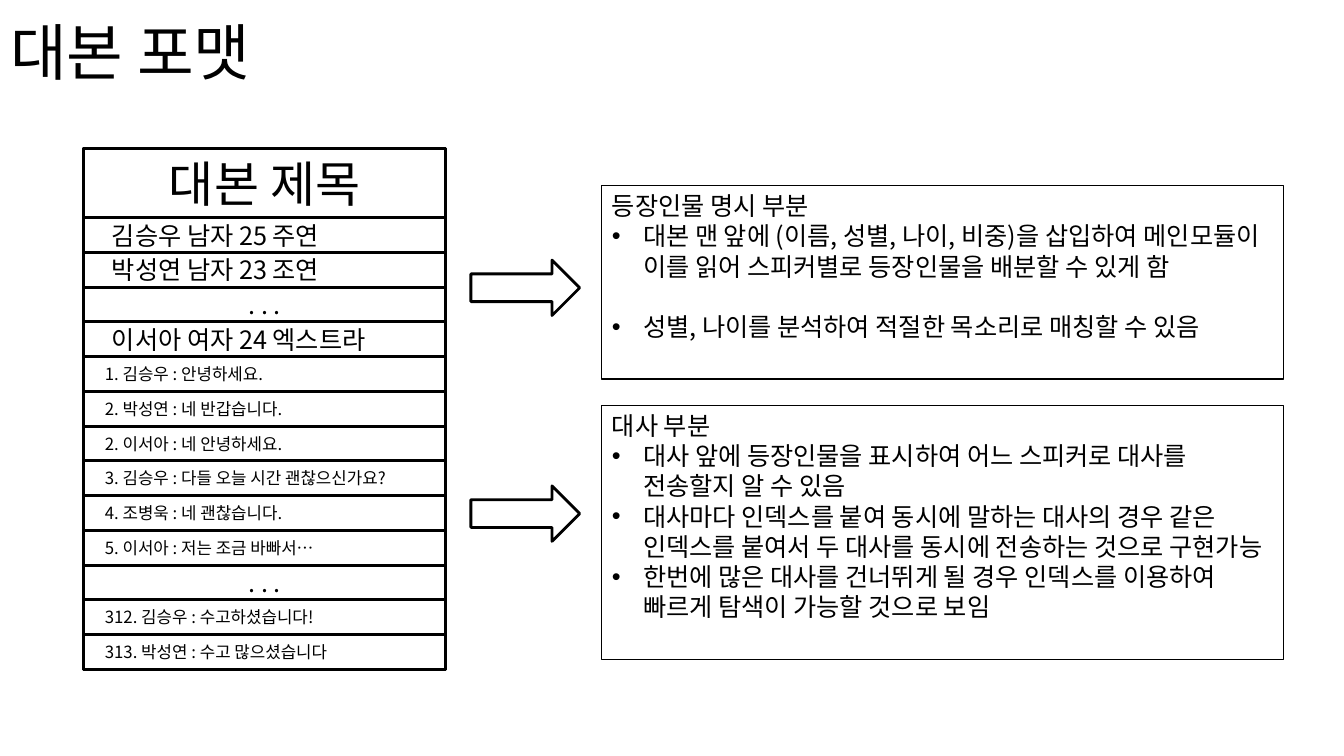
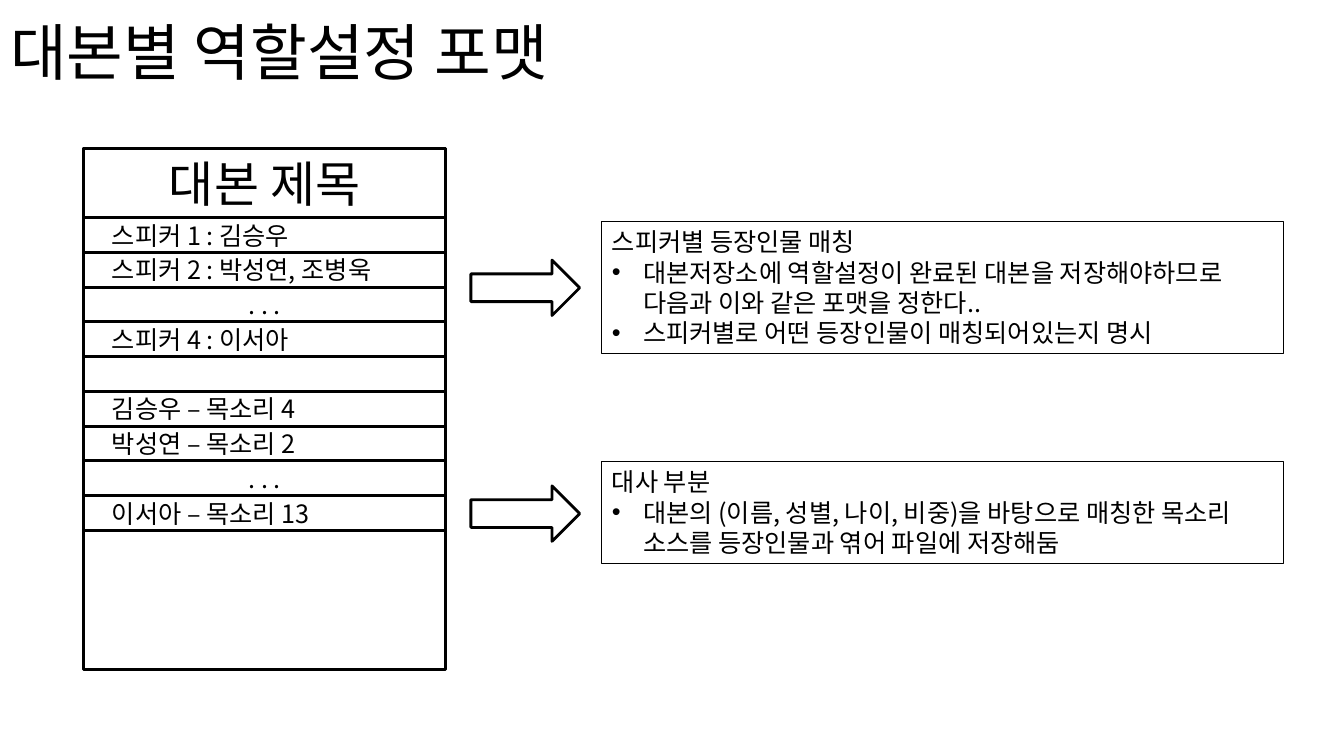
from lxml import etree
from pptx import Presentation
from pptx.dml.color import RGBColor
from pptx.enum.shapes import MSO_SHAPE
from pptx.enum.text import MSO_ANCHOR, MSO_AUTO_SIZE, PP_ALIGN
from pptx.oxml.ns import qn
from pptx.util import Inches, Pt

# Shared style
BLACK = RGBColor(0, 0, 0)
FONT = "Noto Sans CJK KR"
RECTANGLE, RIGHT_ARROW = MSO_SHAPE.RECTANGLE, MSO_SHAPE.RIGHT_ARROW
LEFT, CENTER = PP_ALIGN.LEFT, PP_ALIGN.CENTER
TOP, MIDDLE = MSO_ANCHOR.TOP, MSO_ANCHOR.MIDDLE
FIXED_SIZE = MSO_AUTO_SIZE.NONE
TITLE_ONLY = 5
ROW_SIZE, DIALOGUE_SIZE = 18, 12
LINE_HEIGHT = 21.6

# Script sheet geometry, in inches
SHEET_LEFT, SHEET_TOP, SHEET_WIDTH, SHEET_HEIGHT = 0.83, 1.47, 3.59, 5.17
HEADER_HEIGHT = 0.69
ROW_COUNT = 13
ROW_HEIGHT = (SHEET_HEIGHT - HEADER_HEIGHT) / ROW_COUNT
ROW_INSETS = {ROW_SIZE: 0.28, DIALOGUE_SIZE: 0.21}
ARROW_TOPS = (2.58, 4.82)

# Content: rows are (text, size); a note is (top, height, heading, bullets, bullet gap)
DOTS = ". . ."
SCRIPT_ROWS = [
    ("김승우 남자 25 주연", ROW_SIZE),
    ("박성연 남자 23 조연", ROW_SIZE),
    (DOTS, ROW_SIZE),
    ("이서아 여자 24 엑스트라", ROW_SIZE),
    ("1. 김승우 : 안녕하세요.", DIALOGUE_SIZE),
    ("2. 박성연 : 네 반갑습니다.", DIALOGUE_SIZE),
    ("2. 이서아 : 네 안녕하세요.", DIALOGUE_SIZE),
    ("3. 김승우 : 다들 오늘 시간 괜찮으신가요?", DIALOGUE_SIZE),
    ("4. 조병욱 : 네 괜찮습니다.", DIALOGUE_SIZE),
    ("5. 이서아 : 저는 조금 바빠서…", DIALOGUE_SIZE),
    (DOTS, ROW_SIZE),
    ("312. 김승우 : 수고하셨습니다!", DIALOGUE_SIZE),
    ("313. 박성연 : 수고 많으셨습니다", DIALOGUE_SIZE),
]
SCRIPT_NOTES = [
    (1.84, 1.92, "등장인물 명시 부분", [
        "대본 맨 앞에 (이름, 성별, 나이, 비중)을 삽입하여 메인모듈이 이를 읽어 "
        "스피커별로 등장인물을 배분할 수 있게 함",
        "성별, 나이를 분석하여 적절한 목소리로 매칭할 수 있음",
    ], LINE_HEIGHT),
    (4.02, 2.52, "대사 부분", [
        "대사 앞에 등장인물을 표시하여 어느 스피커로 대사를 전송할지 알 수 있음",
        "대사마다 인덱스를 붙여 동시에 말하는 대사의 경우 같은 인덱스를 붙여서 "
        "두 대사를 동시에 전송하는 것으로 구현가능",
        "한번에 많은 대사를 건너뛰게 될 경우 인덱스를 이용하여 빠르게 탐색이 "
        "가능할 것으로 보임",
    ], 0),
]
ROLE_ROWS = [(text, ROW_SIZE) for text in (
    "스피커 1 : 김승우", "스피커 2 : 박성연, 조병욱", DOTS, "스피커 4 : 이서아", "",
    "김승우 – 목소리 4", "박성연 – 목소리 2", DOTS, "이서아 – 목소리 13",
)]
ROLE_NOTES = [
    (2.2, 1.31, "스피커별 등장인물 매칭", [
        "대본저장소에 역할설정이 완료된 대본을 저장해야하므로 다음과 이와 같은 "
        "포맷을 정한다..",
        "스피커별로 어떤 등장인물이 매칭되어있는지 명시",
    ], 0),
    (4.58, 1.01, "대사 부분", [
        "대본의 (이름, 성별, 나이, 비중)을 바탕으로 매칭한 목소리 소스를 "
        "등장인물과 엮어 파일에 저장해둠",
    ], 0),
]


def format_paragraph(paragraph, size, align=LEFT):
    paragraph.alignment = align
    for run in paragraph.runs:
        run.font.size = Pt(size)
        run.font.name = FONT
        run.font.color.rgb = BLACK
        east_asian = etree.SubElement(run.font._element, qn("a:ea"))
        east_asian.set("typeface", FONT)


def add_bullet(paragraph):
    properties = paragraph._p.get_or_add_pPr()
    properties.set("marL", str(Inches(0.31)))
    properties.set("indent", str(-Inches(0.31)))
    etree.SubElement(properties, qn("a:buFont")).set("typeface", "Arial")
    etree.SubElement(properties, qn("a:buChar")).set("char", "•")


def add_outline(slide, kind, left, top, width, height, weight=2):
    outline = slide.shapes.add_shape(
        kind, Inches(left), Inches(top), Inches(width), Inches(height))
    outline.shadow.inherit = False
    outline.fill.background()
    outline.line.color.rgb = BLACK
    outline.line.width = Pt(weight)
    return outline


def add_cell(slide, top, height, text, size, align=LEFT, inset=0.1):
    cell = add_outline(slide, RECTANGLE, SHEET_LEFT, top, SHEET_WIDTH, height)
    if text:
        frame = cell.text_frame
        frame.vertical_anchor = MIDDLE
        frame.margin_left = Inches(inset)
        frame.margin_top = frame.margin_bottom = 0
        frame.text = text
        format_paragraph(frame.paragraphs[0], size, align)


def add_sheet(slide, rows):
    add_outline(slide, RECTANGLE, SHEET_LEFT, SHEET_TOP, SHEET_WIDTH, SHEET_HEIGHT)
    add_cell(slide, SHEET_TOP, HEADER_HEIGHT, "대본 제목", 35, CENTER)
    for index, (text, size) in enumerate(rows):
        top = SHEET_TOP + HEADER_HEIGHT + index * ROW_HEIGHT
        if text == DOTS:
            add_cell(slide, top, ROW_HEIGHT, text, size, CENTER)
        else:
            add_cell(slide, top, ROW_HEIGHT, text, size, inset=ROW_INSETS[size])


def add_note(slide, top, height, heading, bullets, bullet_gap):
    note = add_outline(slide, RECTANGLE, 5.97, top, 6.76, height, 0.75)
    frame = note.text_frame
    frame.vertical_anchor = TOP
    frame.text = "\n".join([heading, *bullets])
    for index, paragraph in enumerate(frame.paragraphs):
        if index:
            add_bullet(paragraph)
        if index > 1:
            paragraph.space_before = Pt(bullet_gap)
        paragraph.line_spacing = Pt(LINE_HEIGHT)
        format_paragraph(paragraph, 18)


def set_title(slide, text):
    title = slide.shapes.title
    title.left, title.top = Inches(0), Inches(-0.17)
    title.width, title.height = Inches(11.5), Inches(1.45)
    frame = title.text_frame
    frame.text = text
    frame.auto_size = FIXED_SIZE
    frame.vertical_anchor = MIDDLE
    frame.paragraphs[0].line_spacing = 0.9
    format_paragraph(frame.paragraphs[0], 44)


def add_format_slide(deck, title, rows, notes):
    slide = deck.slides.add_slide(deck.slide_layouts[TITLE_ONLY])
    set_title(slide, title)
    add_sheet(slide, rows)
    for arrow_top, note in zip(ARROW_TOPS, notes):
        add_outline(slide, RIGHT_ARROW, 4.67, arrow_top, 1.08, 0.55)
        add_note(slide, *note)


def main():
    deck = Presentation()
    deck.slide_width, deck.slide_height = Inches(13.33), Inches(7.5)
    add_format_slide(deck, "대본 포맷", SCRIPT_ROWS, SCRIPT_NOTES)
    add_format_slide(deck, "대본별 역할설정 포맷", ROLE_ROWS, ROLE_NOTES)
    deck.save("out.pptx")


if __name__ == "__main__":
    main()
